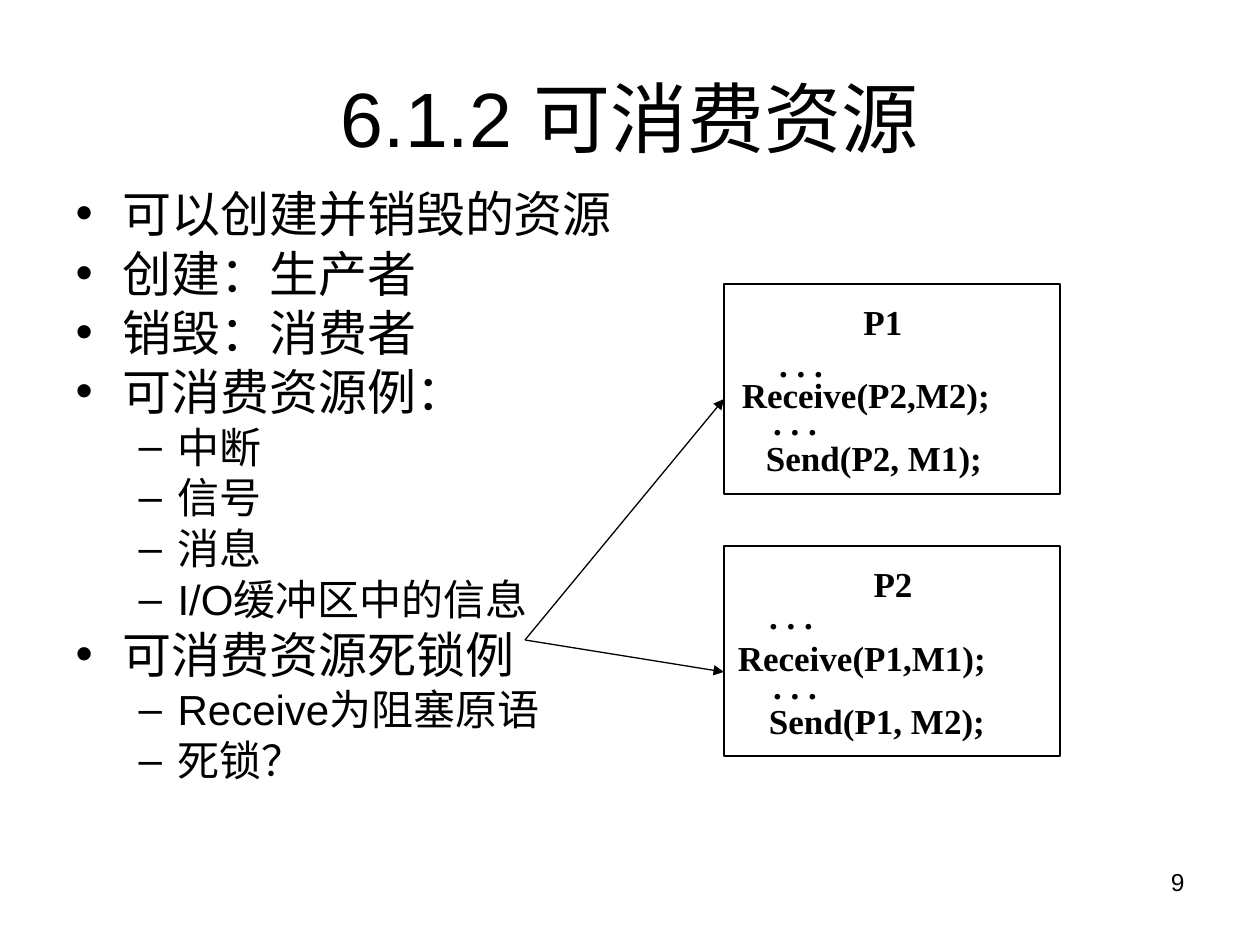
import pptx
import pptx.dml.color
import pptx.enum.shapes
import pptx.enum.text
import pptx.oxml
import pptx.oxml.ns
import pptx.util
from dataclasses import dataclass

PX = 914400 / 126
ALIGN = pptx.enum.text.PP_ALIGN
ANCHOR = pptx.enum.text.MSO_ANCHOR
AUTOSIZE = pptx.enum.text.MSO_AUTO_SIZE


@dataclass(frozen=True)
class Theme:
    """Colours, fonts and type sizes of the slide."""
    ink: str = "000000"
    paper: str = "FFFFFF"
    sans: str = "Arial"
    serif: str = "Times New Roman"
    title: int = 44
    levels: tuple = (28, 24)
    code: int = 20
    number: int = 14


THEME = Theme()
LEVELS = (
    {"bullet": "•", "margin": 47, "hang": 47, "before": 7},
    {"bullet": "–", "margin": 102, "hang": 39, "before": 6},
)
BODY = (
    (0, "可以创建并销毁的资源"),
    (0, "创建：生产者"),
    (0, "销毁：消费者"),
    (0, "可消费资源例："),
    (1, "中断"),
    (1, "信号"),
    (1, "消息"),
    (1, "I/O缓冲区中的信息"),
    (0, "可消费资源死锁例"),
    (1, "Receive为阻塞原语"),
    (1, "死锁？"),
)
PROCESSES = (
    (284, (("P1", 850, 294, 66), (". . .", 766, 336, 70), (". . .", 760, 394, 70),
           ("Receive(P2,M2);", 726, 367, 280), ("Send(P2, M1);", 750, 430, 248))),
    (546, (("P2", 860, 556, 66), (". . .", 756, 588, 70), (". . .", 760, 658, 70),
           ("Receive(P1,M1);", 722, 630, 280), ("Send(P1, M2);", 753, 693, 248))),
)


def px(*lengths):
    """Turn pixel lengths into EMU."""
    return [pptx.util.Emu(round(n * PX)) for n in lengths]


def rgb(colour):
    """Return the colour object for a hex string."""
    return pptx.dml.color.RGBColor.from_string(colour)


def add_xml(parent, tag, **attributes):
    """Append a DrawingML element to a parent and return it."""
    ns = pptx.oxml.ns.nsdecls("a")
    element = pptx.oxml.parse_xml(f"<a:{tag} {ns}/>")
    for name, value in attributes.items():
        element.set(name, value)
    parent.append(element)
    return element


def write(p, text, size, font=THEME.sans, bold=False, align=ALIGN.LEFT):
    """Write formatted text into a paragraph."""
    p.alignment = align
    r = p.add_run()
    r.text = text
    r.font.size = pptx.util.Pt(size)
    r.font.name = font
    r.font.bold = bold
    r.font.color.rgb = rgb(THEME.ink)


def place(sp, left, top, width, height):
    """Move and size a shape."""
    sp.left, sp.top, sp.width, sp.height = px(left, top, width, height)


def set_title(s, text):
    """Fill the title placeholder."""
    sp = s.shapes.title
    place(sp, 63, 38, 1134, 157)
    tf = sp.text_frame
    tf.auto_size = AUTOSIZE.NONE
    tf.vertical_anchor = ANCHOR.MIDDLE
    write(tf.paragraphs[0], text, THEME.title, align=ALIGN.CENTER)


def set_bullet(p, level):
    """Give a paragraph the spacing, indent and bullet of its level."""
    style = LEVELS[level]
    p.level = level
    p.line_spacing = 0.8
    p.space_before = pptx.util.Pt(style["before"])
    p.space_after = pptx.util.Pt(0)
    pPr = p._p.get_or_add_pPr()
    margin, hang = px(style["margin"], style["hang"])
    pPr.set("marL", str(margin))
    pPr.set("indent", str(-hang))
    add_xml(add_xml(pPr, "buClr"), "srgbClr", val=THEME.ink)
    add_xml(pPr, "buFont", typeface=THEME.sans)
    add_xml(pPr, "buChar", char=style["bullet"])


def set_body(s, items):
    """Fill the body placeholder with the two-level list."""
    sp = s.placeholders[1]
    place(sp, 63, 189, 598, 640)
    tf = sp.text_frame
    tf.auto_size = AUTOSIZE.NONE
    tf.vertical_anchor = ANCHOR.TOP
    for i, (level, text) in enumerate(items):
        p = tf.add_paragraph() if i else tf.paragraphs[0]
        set_bullet(p, level)
        write(p, text, THEME.levels[level])


def add_label(s, text, left, top, width, height=54, wrap=False, **style):
    """Add a text box holding one line."""
    tf = s.shapes.add_textbox(*px(left, top, width, height)).text_frame
    tf.word_wrap = wrap
    tf.auto_size = AUTOSIZE.NONE if wrap else AUTOSIZE.SHAPE_TO_FIT_TEXT
    write(tf.paragraphs[0], text, **style)


def add_process(s, top, lines):
    """Add a process frame and its code lines."""
    sp = s.shapes.add_shape(pptx.enum.shapes.MSO_SHAPE.RECTANGLE, *px(724, top, 336, 210))
    sp.shadow.inherit = False
    sp.fill.solid()
    sp.fill.fore_color.rgb = rgb(THEME.paper)
    sp.line.color.rgb = rgb(THEME.ink)
    sp.line.width = pptx.util.Pt(1)
    for text, left, y, width in lines:
        add_label(s, text, left, y, width, size=THEME.code, font=THEME.serif,
                  bold=True, align=ALIGN.CENTER)


def add_arrow(s, x1, y1, x2, y2):
    """Add a thin straight arrow."""
    line = s.shapes.add_connector(pptx.enum.shapes.MSO_CONNECTOR.STRAIGHT, *px(x1, y1, x2, y2))
    line.line.color.rgb = rgb(THEME.ink)
    line.line.width = pptx.util.Pt(0.75)
    spPr = line._element.spPr
    add_xml(spPr.get_or_add_ln(), "tailEnd", type="triangle")
    add_xml(spPr, "effectLst")


def main():
    """Build and save the slide."""
    prs = pptx.Presentation()
    prs.slide_width, prs.slide_height = px(1260, 945)
    s = prs.slides.add_slide(prs.slide_layouts[1])
    add_label(s, "9", 903, 861, 294, 65, wrap=True, size=THEME.number, align=ALIGN.RIGHT)
    set_title(s, "6.1.2 可消费资源")
    set_body(s, BODY)
    for top, lines in PROCESSES:
        add_process(s, top, lines)
    for y in (399, 672):
        add_arrow(s, 525, 640, 724, y)
    prs.save("out.pptx")


if __name__ == "__main__":
    main()
